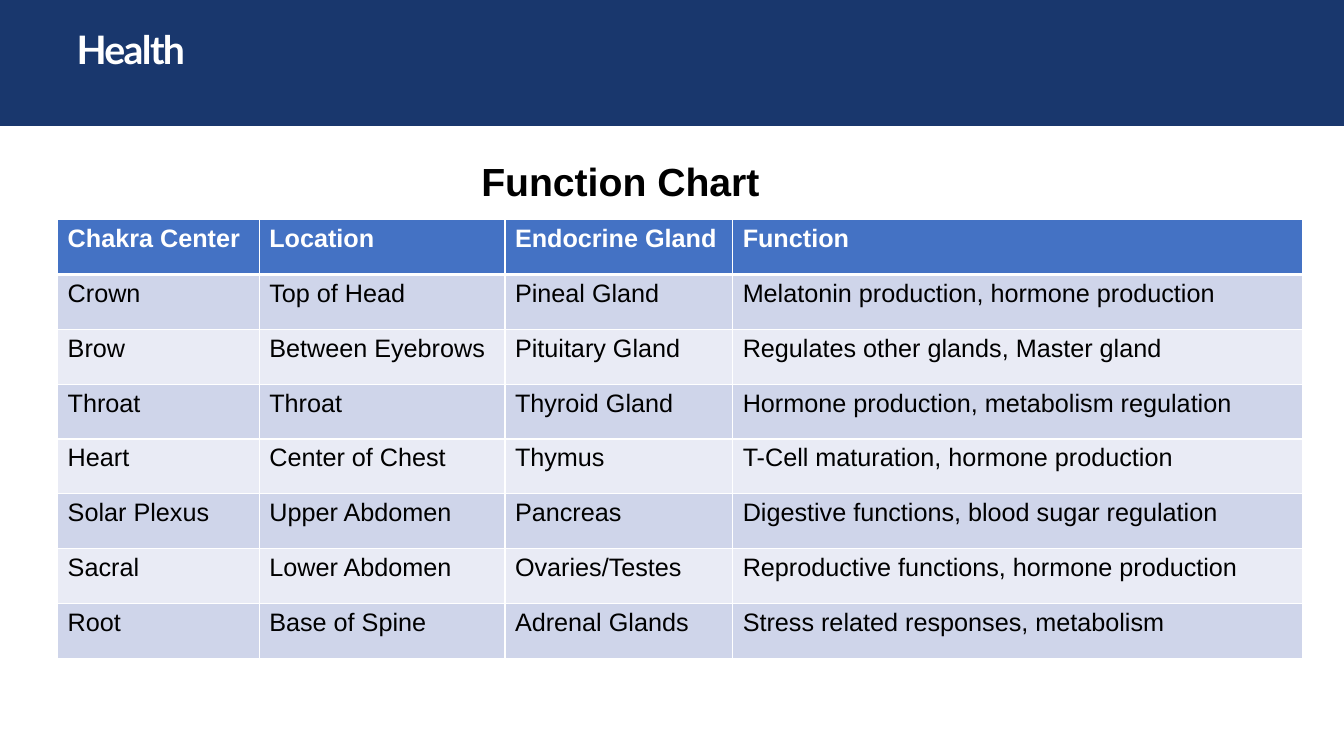
from lxml.etree import SubElement
from pptx import Presentation
from pptx.dml.color import RGBColor
from pptx.enum.text import MSO_ANCHOR, PP_ALIGN
from pptx.oxml.ns import qn
from pptx.util import Pt

COLORS = {
    "navy": "19376D",
    "blue": "4472C4",
    "band": "CFD5EA",
    "pale": "E9EBF5",
    "white": "FFFFFF",
    "black": "000000",
}
WIDTHS = [144, 175.5, 162.7, 407]
ROWS = [
    ["Chakra Center", "Location", "Endocrine Gland", "Function"],
    ["Crown", "Top of Head", "Pineal Gland", "Melatonin production, hormone production"],
    ["Brow", "Between Eyebrows", "Pituitary Gland", "Regulates other glands, Master gland"],
    ["Throat", "Throat", "Thyroid Gland", "Hormone production, metabolism regulation"],
    ["Heart", "Center of Chest", "Thymus", "T-Cell maturation, hormone production"],
    ["Solar Plexus", "Upper Abdomen", "Pancreas", "Digestive functions, blood sugar regulation"],
    ["Sacral", "Lower Abdomen", "Ovaries/Testes", "Reproductive functions, hormone production"],
    ["Root", "Base of Spine", "Adrenal Glands", "Stress related responses, metabolism"],
]


def color(name):
    return RGBColor.from_string(COLORS[name])


class Page:
    def __init__(self, deck):
        self.face = "Arial"
        self.slide = deck.slides.add_slide(deck.slide_layouts[5])

    def text(self, frame, words, size, ink, bold=False, face=None):
        par = frame.paragraphs[0]
        par.text = words
        font = par.font
        font.name = face or self.face
        font.size = Pt(size)
        font.bold = bold
        font.color.rgb = color(ink)
        return par

    def title(self, words, height):
        """Turn the title placeholder into a full-width banner."""
        shape = self.slide.shapes.title
        shape.left, shape.top = Pt(0), Pt(0)
        shape.width, shape.height = Pt(960), Pt(height)
        shape.fill.solid()
        shape.fill.fore_color.rgb = color("navy")
        frame = shape.text_frame
        frame.vertical_anchor = MSO_ANCHOR.TOP
        frame.margin_left, frame.margin_top = Pt(54.7), Pt(13)
        frame.margin_right = frame.margin_bottom = Pt(0)
        par = self.text(frame, words, 28, "white", True, "Lato")
        par.alignment = PP_ALIGN.LEFT
        par.line_spacing = Pt(38.8)
        par.runs[0]._r.get_or_add_rPr().set("spc", "-120")

    def label(self, words, left, top, width, height):
        frame = self.slide.shapes.add_textbox(
            Pt(left), Pt(top), Pt(width), Pt(height)).text_frame
        frame.word_wrap = True
        par = self.text(frame, words, 28, "black", True)
        par.alignment = PP_ALIGN.CENTER

    def border(self, cell, base):
        """Draw white cell edges, with the bottom one base points wide."""
        props = cell._tc.get_or_add_tcPr()
        for side, width in zip("LRTB", (1, 1, 1, base)):
            line = SubElement(props, qn(f"a:ln{side}"), w=str(Pt(width)))
            fill = SubElement(line, qn("a:solidFill"))
            SubElement(fill, qn("a:srgbClr"), val=COLORS["white"])

    def table(self, rows, widths, left, top, step):
        table = self.slide.shapes.add_table(
            len(rows), len(widths), Pt(left), Pt(top),
            Pt(sum(widths)), Pt(step * len(rows))).table
        for col, width in zip(table.columns, widths):
            col.width = Pt(width)
        for i, row in enumerate(rows):
            table.rows[i].height = Pt(step)
            head = i == 0
            shade = "blue" if head else ("pale", "band")[i % 2]
            for j, words in enumerate(row):
                cell = table.cell(i, j)
                self.border(cell, 3 if head else 1)
                cell.fill.solid()
                cell.fill.fore_color.rgb = color(shade)
                self.text(cell.text_frame, words, 18,
                          "white" if head else "black", head)


def main():
    deck = Presentation()
    deck.slide_width, deck.slide_height = Pt(960), Pt(540)
    page = Page(deck)
    page.title("Health", 90)
    page.table(ROWS, WIDTHS, 41.2, 157, 39.15)
    page.label("Function Chart", 274.3, 108.7, 337.7, 41)
    deck.save("out.pptx")


if __name__ == "__main__":
    main()
